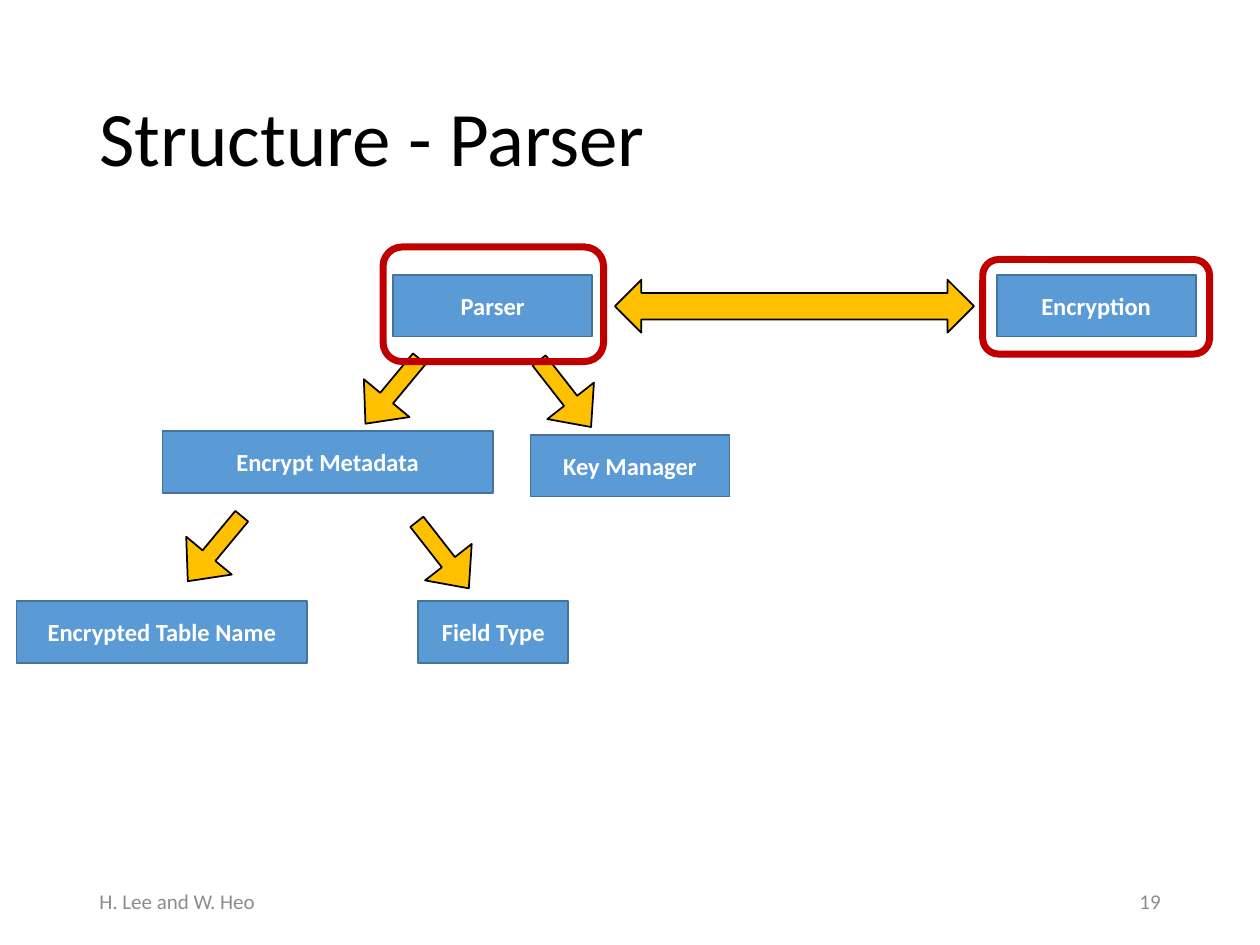
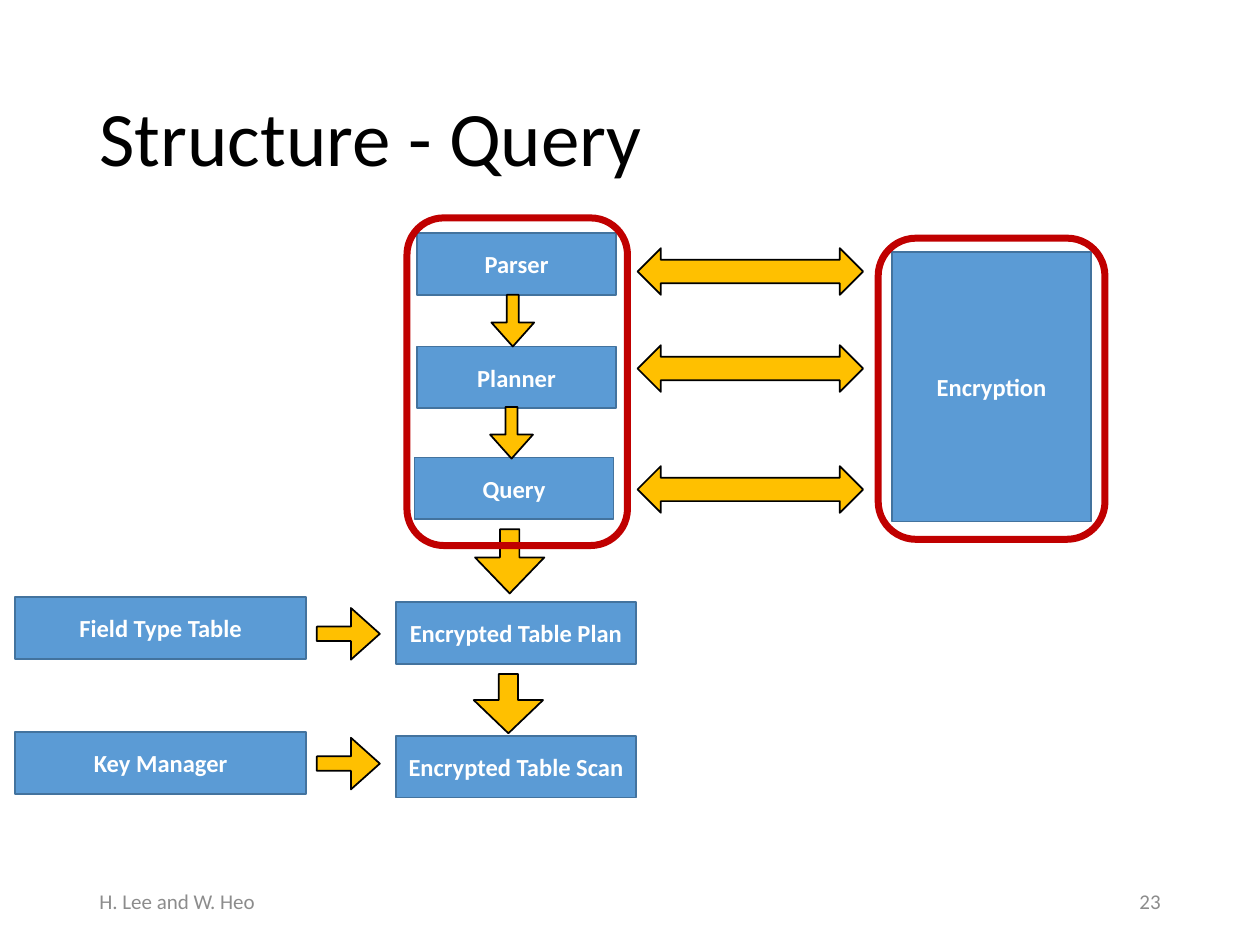
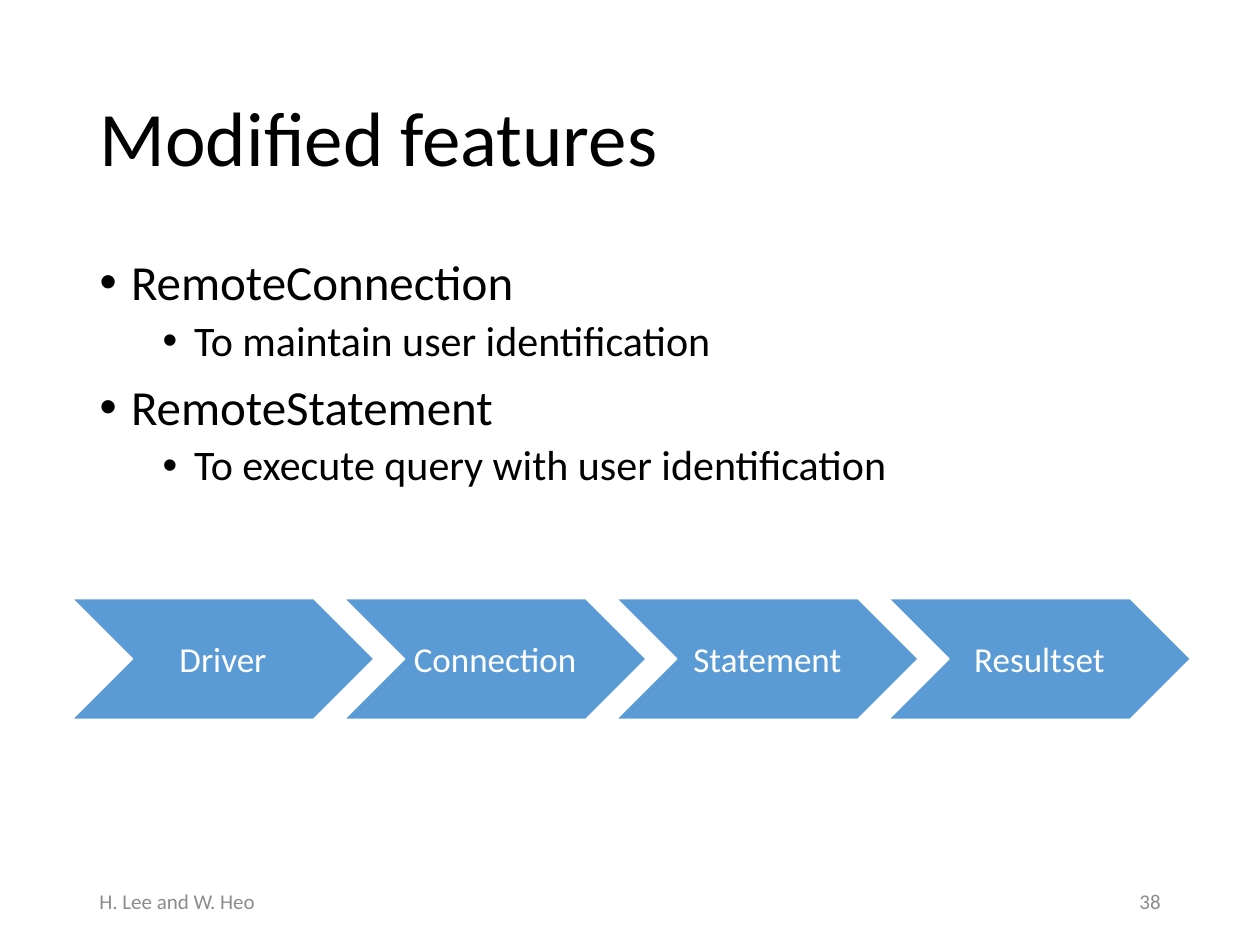
from lxml import etree
from pptx import Presentation
from pptx.dml.color import RGBColor
from pptx.enum.shapes import MSO_SHAPE as SHAPE
from pptx.enum.text import MSO_ANCHOR as ANCHOR, PP_ALIGN as ALIGN
from pptx.oxml.ns import qn
from pptx.util import Inches, Pt

FONT = "Calibri"
BLUE = RGBColor(0x5B, 0x9B, 0xD5)
DARK_BLUE = RGBColor(0x43, 0x73, 0x9E)
GOLD = RGBColor(0xFF, 0xC0, 0x00)
RED = RGBColor(0xC0, 0x00, 0x00)
GRAY = RGBColor(0x8C, 0x8C, 0x8C)
BLACK = RGBColor(0x00, 0x00, 0x00)
WHITE = RGBColor(0xFF, 0xFF, 0xFF)

MARGIN = 0.69
CONTENT_WIDTH = 8.62
BOX_HEIGHT = 0.49
TITLE_ONLY, TITLE_AND_BODY = 5, 1

prs = Presentation()
prs.slide_width, prs.slide_height = Inches(10), Inches(7.5)


def start_slide(layout, heading, number):
    slide = prs.slides.add_slide(prs.slide_layouts[layout])
    title = slide.shapes.title
    title.left, title.top = Inches(MARGIN), Inches(0.4)
    title.width, title.height = Inches(CONTENT_WIDTH), Inches(1.45)
    title.text_frame.text = heading
    title.text_frame.vertical_anchor = ANCHOR.MIDDLE
    line = title.text_frame.paragraphs[0]
    line.alignment, line.line_spacing = ALIGN.LEFT, 0.9
    line.font.name, line.font.size, line.font.color.rgb = FONT, Pt(44), BLACK

    for text, left, width, align in (
        ("H. Lee and W. Heo", MARGIN, 3.38, ALIGN.LEFT),
        (str(number), 7.06, 2.25, ALIGN.RIGHT),
    ):
        footer = slide.shapes.add_textbox(Inches(left), Inches(6.95), Inches(width), Inches(0.4)).text_frame
        footer.word_wrap = True
        footer.vertical_anchor = ANCHOR.MIDDLE
        footer.text = text
        line = footer.paragraphs[0]
        line.alignment = align
        line.font.name, line.font.size, line.font.color.rgb = FONT, Pt(12), GRAY
    return slide


def draw(slide, kind, place, fill, outline, weight=1, text="", size=14, bold=True, adjust=(), turn=0):
    shape = slide.shapes.add_shape(kind, *map(Inches, place))
    shape.shadow.inherit = False
    shape.rotation = turn
    for i, value in enumerate(adjust):
        shape.adjustments[i] = value
    if fill is None:
        shape.fill.background()
    else:
        shape.fill.solid()
        shape.fill.fore_color.rgb = fill
    shape.line.color.rgb = outline
    shape.line.width = Pt(weight)
    if text:
        frame = shape.text_frame
        frame.margin_left = frame.margin_right = Inches(0.05)
        frame.vertical_anchor = ANCHOR.MIDDLE
        frame.text = text
        line = frame.paragraphs[0]
        line.alignment = ALIGN.CENTER
        line.font.name, line.font.size, line.font.bold = FONT, Pt(size), bold
        line.font.color.rgb = WHITE


parser_slide = start_slide(TITLE_ONLY, "Structure - Parser", 19)
query_slide = start_slide(TITLE_ONLY, "Structure - Query", 23)
features_slide = start_slide(TITLE_AND_BODY, "Modified features", 38)

diagrams = (
    (
        parser_slide,
        (
            ("Encryption", 7.91, 2.18, 1.58, BOX_HEIGHT),
            ("Parser", 3.12, 2.18, 1.58, BOX_HEIGHT),
            ("Key Manager", 4.21, 3.45, 1.58, BOX_HEIGHT),
            ("Encrypt Metadata", 1.29, 3.42, 2.62, BOX_HEIGHT),
            ("Encrypted Table Name", 0.13, 4.77, 2.31, BOX_HEIGHT),
            ("Field Type", 3.32, 4.77, 1.19, BOX_HEIGHT),
        ),
        (
            (2.88, 2.77, 0.47, 0.67, 39.7),
            (4.25, 2.79, 0.47, 0.67, 322),
            (1.47, 4.02, 0.47, 0.67, 39.7),
            (3.28, 4.07, 0.47, 0.67, 322),
        ),
        ((4.88, 2.22, 2.85, 0.42),),
        ((3.04, 1.96, 1.75, 0.91), (7.8, 2.06, 1.8, 0.75)),
    ),
    (
        query_slide,
        (
            ("Encryption", 7.08, 2, 1.58, 2.14),
            ("Parser", 3.31, 1.85, 1.58, BOX_HEIGHT),
            ("Planner", 3.31, 2.75, 1.58, BOX_HEIGHT),
            ("Query", 3.29, 3.63, 1.58, BOX_HEIGHT),
            ("Encrypted Table Plan", 3.14, 4.78, 1.91, BOX_HEIGHT),
            ("Encrypted Table Scan", 3.14, 5.84, 1.91, BOX_HEIGHT),
            ("Field Type Table", 0.12, 4.74, 2.31, BOX_HEIGHT),
            ("Key Manager", 0.12, 5.81, 2.31, BOX_HEIGHT),
        ),
        (
            (3.9, 2.34, 0.34, 0.41, 0),
            (3.89, 3.23, 0.34, 0.41, 0),
            (3.77, 4.2, 0.55, 0.51, 0),
            (3.76, 5.35, 0.55, 0.47, 0),
            (2.56, 4.78, 0.41, 0.5, 270),
            (2.56, 5.81, 0.41, 0.5, 270),
        ),
        [(5.06, top, 1.79, 0.37) for top in (1.97, 2.74, 3.7)],
        ((3.23, 1.73, 1.75, 2.6), (6.97, 1.89, 1.8, 2.39)),
    ),
)

for slide, modules_shown, steps, exchanges, highlights in diagrams:
    for label, *place in modules_shown:
        draw(slide, SHAPE.RECTANGLE, place, BLUE, DARK_BLUE, text=label)
    for *place, turn in steps:
        draw(slide, SHAPE.DOWN_ARROW, place, GOLD, BLACK, adjust=(0.28, 0.56), turn=turn)
    for place in exchanges:
        draw(slide, SHAPE.LEFT_RIGHT_ARROW, place, GOLD, BLACK)
    for place in highlights:
        draw(slide, SHAPE.ROUNDED_RECTANGLE, place, None, RED, weight=4)

features = features_slide.placeholders[1]
features.left, features.top = Inches(MARGIN), Inches(2)
features.width, features.height = Inches(CONTENT_WIDTH), Inches(4.76)
feature_lines = (
    ("RemoteConnection", 0),
    ("To maintain user identification", 1),
    ("RemoteStatement", 0),
    ("To execute query with user identification", 1),
)
features.text_frame.text = "\n".join(text for text, level in feature_lines)
for line, (text, level) in zip(features.text_frame.paragraphs, feature_lines):
    line.level = level
    line.line_spacing = 0.9
    line.space_before = Pt((10, 5)[level])
    props = line._p.get_or_add_pPr()
    props.set("marL", str(Inches((0.25, 0.75)[level])))
    props.set("indent", str(Inches(-0.25)))
    etree.SubElement(props, qn("a:buChar")).set("char", "•")
    line.font.name, line.font.size, line.font.color.rgb = FONT, Pt((28, 24)[level]), BLACK

for i, stage in enumerate(("Driver", "Connection", "Statement", "Resultset")):
    place = (0.57 + 2.16 * i, 4.75, 2.4, 0.96)
    draw(features_slide, SHAPE.CHEVRON, place, BLUE, WHITE, text=stage, size=20, bold=False)

prs.save("out.pptx")
